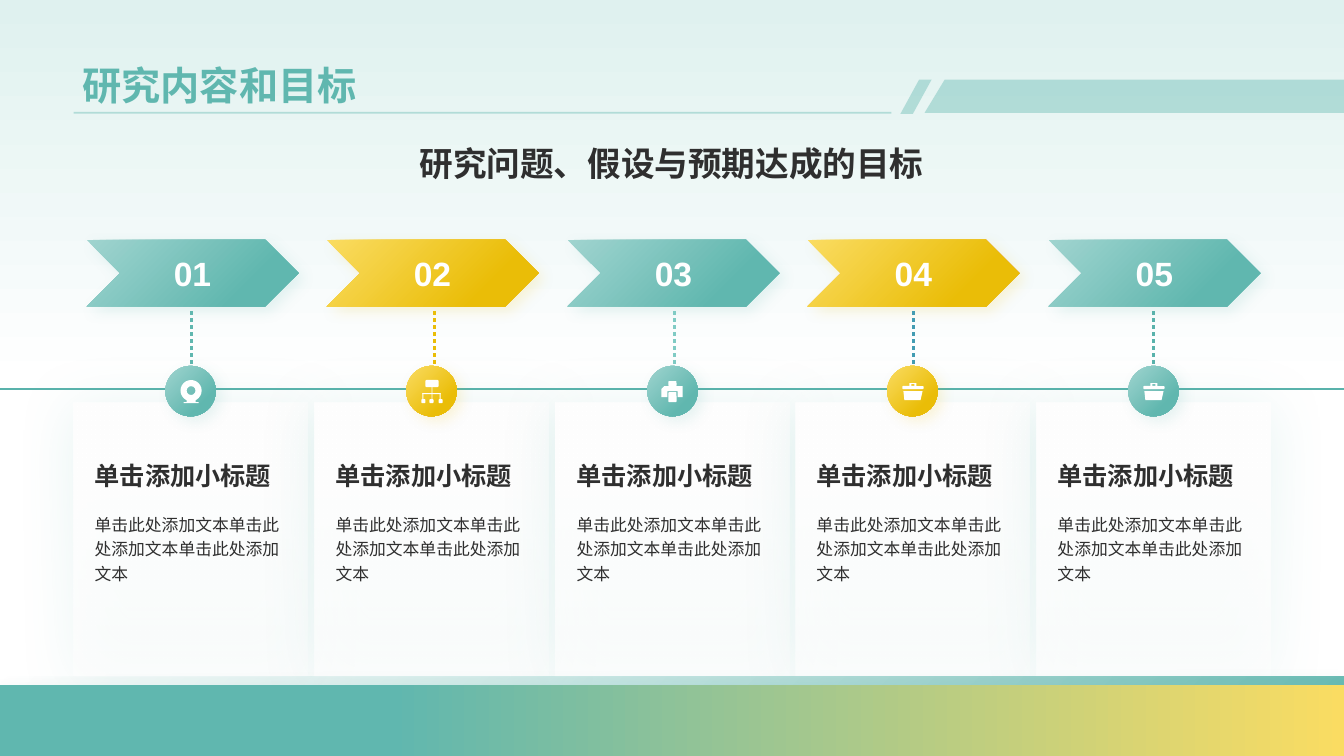
from lxml import etree
from pptx import Presentation
from pptx.dml.color import RGBColor
from pptx.enum.dml import MSO_LINE
from pptx.enum.lang import MSO_LANGUAGE_ID
from pptx.enum.shapes import MSO_CONNECTOR, MSO_SHAPE
from pptx.enum.text import MSO_ANCHOR, PP_ALIGN
from pptx.oxml.ns import qn
from pptx.util import Pt

PX = 9144
WIDE, HIGH = 1333, 750
RECT, ROUND, RING = MSO_SHAPE.RECTANGLE, MSO_SHAPE.ROUNDED_RECTANGLE, MSO_SHAPE.DONUT
ARROW, SLANT = MSO_SHAPE.CHEVRON, MSO_SHAPE.PARALLELOGRAM
STRAIGHT, DOTS = MSO_CONNECTOR.STRAIGHT, MSO_LINE.ROUND_DOT
TOP, MIDDLE, BOTTOM = MSO_ANCHOR.TOP, MSO_ANCHOR.MIDDLE, MSO_ANCHOR.BOTTOM
LEFT, CENTER = PP_ALIGN.LEFT, PP_ALIGN.CENTER
CHINESE = MSO_LANGUAGE_ID.SIMPLIFIED_CHINESE

TEAL, GOLD, WHITE, INK = "60B7AF", "EABD07", "FFFFFF", "2F2F2F"
TEALS = [(0, "A0D4CF"), (75, TEAL)]
GOLDS = [(0, "FADC62"), (75, GOLD)]

CAMERA = [(RING, (-10, -11, 21, 21), 0.29), (RECT, (-4, 9, 9, 2), None),
          (RECT, (-7, 11, 15, 1), None)]
CHART = [(ROUND, (-6, -11, 13, 7), 0.15), (RECT, (0, -4, 1, 12), None),
         (RECT, (-9, 2, 18, 1), None)]
CHART += [(RECT, (x, 2, 1, 6), None) for x in (-9, 8)]
CHART += [(ROUND, (x, 8, 4, 4), 0.25) for x in (-10, -2, 7)]
PRINTER = [(ROUND, (-4, -10, 8, 5), 0.15), (ROUND, (-4, 1, 8, 10), 0.1),
           (None, [(-11, -2), (-8, -5), (10, -5), (10, 6), (5, 6),
                   (5, 0), (-5, 0), (-5, 6), (-11, 6)], None)]
TOOLS = [(ROUND, (-10, -5, 21, 3), 0.3),
         (None, [(-9, 0), (10, 0), (8, 9), (-8, 9)], None),
         (None, [(-3, -5), (-3, -8), (4, -8), (4, -5),
                 (2, -5), (2, -7), (-1, -7), (-1, -5)], None)]

STEPS = [(TEAL, TEALS, CAMERA, 190, TEAL), (GOLD, GOLDS, CHART, 431, GOLD),
         (TEAL, TEALS, PRINTER, 669, "80CBC4"), (GOLD, GOLDS, TOOLS, 906, "439CB2"),
         (TEAL, TEALS, TOOLS, 1144, "59B2AB")]


def tint(code):
    return RGBColor.from_string(code)


class Deck:
    """Holds the type style and the slide, and draws each kind of element."""

    def __init__(self):
        self.font = "Arial"
        self.file = Presentation()
        self.file.slide_width, self.file.slide_height = WIDE * PX, HIGH * PX
        self.slide = self.file.slides.add_slide(self.file.slide_layouts[6])
        self.shapes = self.slide.shapes

    def blend(self, fill, stops, turn):
        fill.gradient()
        fill.gradient_angle = (360 - turn) % 360
        for stop, (place, code) in zip(fill.gradient_stops, stops):
            stop.position = place / 100
            stop.color.rgb = tint(code)

    def fade(self, shape, *levels):
        for node, level in zip(shape._element.xpath("./p:spPr//a:srgbClr"), levels):
            etree.SubElement(node, qn("a:alpha"), val=str(level * 1000))

    def shade(self, shape, code, blur, gap, turn):
        effect = shape._element.spPr.find(qn("a:effectLst"))
        drop = etree.SubElement(effect, qn("a:outerShdw"), blurRad=str(Pt(blur)),
                                dist=str(Pt(gap)), dir=str(turn * 60000),
                                algn="ctr", rotWithShape="0")
        node = etree.SubElement(drop, qn("a:srgbClr"), val=code)
        etree.SubElement(node, qn("a:alpha"), val="15000")

    def paint(self, shape, fill, turn, fade, shadow):
        if isinstance(fill, str):
            shape.fill.solid()
            shape.fill.fore_color.rgb = tint(fill)
        else:
            self.blend(shape.fill, fill, turn)
        shape.line.fill.background()
        shape.shadow.inherit = False
        self.fade(shape, *fade)
        if shadow:
            self.shade(shape, *shadow)
        return shape

    def block(self, kind, box, fill, turn=45, adj=None, fade=(), shadow=None):
        shape = self.shapes.add_shape(kind, *(side * PX for side in box))
        if adj is not None:
            shape.adjustments[0] = adj
        return self.paint(shape, fill, turn, fade, shadow)

    def poly(self, points, fill, fade=()):
        pen = self.shapes.build_freeform(*points[0], scale=PX)
        pen.add_line_segments(points[1:], close=True)
        return self.paint(pen.convert_to_shape(), fill, 0, fade, None)

    def rule(self, x1, y1, x2, y2, code, width, dash=None, fade=()):
        line = self.shapes.add_connector(STRAIGHT, x1 * PX, y1 * PX, x2 * PX, y2 * PX)
        line.line.color.rgb = tint(code)
        line.line.width = Pt(width)
        if dash:
            line.line.dash_style = dash
        self.fade(line, *fade)
        etree.SubElement(line._element.spPr, qn("a:effectLst"))

    def set_text(self, frame, text, size=12, color=INK, bold=False, align=LEFT,
                 anchor=TOP, wrap=True, space=1.0):
        frame.word_wrap = wrap
        frame.vertical_anchor = anchor
        para = frame.paragraphs[0]
        para.alignment = align
        para.line_spacing = space
        run = para.add_run()
        run.text = text
        font = run.font
        font.size, font.bold, font.name = Pt(size), bold, self.font
        font.color.rgb = tint(color)
        font.language_id = CHINESE
        etree.SubElement(run._r.get_or_add_rPr(), qn("a:ea"), typeface=self.font)

    def label(self, box, text, **style):
        area = self.shapes.add_textbox(*(side * PX for side in box))
        self.set_text(area.text_frame, text, **style)

    def icon(self, parts, x, y):
        for kind, spots, adj in parts:
            if kind is None:
                self.poly([(x + dx, y + dy) for dx, dy in spots], WHITE)
            else:
                dx, dy, wide, high = spots
                self.block(kind, (x + dx, y + dy, wide, high), WHITE, adj=adj)

    def step(self, index, code, stops, icon, stem, dots):
        x = 73 + round(index * 238.75)
        glow = (code, 10, 5, 45)
        self.block(RECT, (x, 399, 232, 272), [(24, WHITE), (100, WHITE)], turn=90,
                   fade=(100, 62), shadow=(TEAL, 42, 4, 90))
        self.label((x + 11, 433, 210, 59), "单击添加小标题", size=18, bold=True,
                   anchor=BOTTOM)
        self.label((x + 11, 502, 210, 138),
                   "单击此处添加文本单击此处添加文本单击此处添加文本", space=1.2)
        arrow = self.block(ARROW, (86 + round(index * 238.4), 238, 210, 66), stops,
                           shadow=glow)
        self.set_text(arrow.text_frame, f"{index + 1:02}", size=24, color=WHITE,
                      bold=True, align=CENTER, anchor=MIDDLE, wrap=False)
        self.rule(stem, 309, stem, 363, dots, 2.5, dash=DOTS)
        self.block(ROUND, (x + 91, 363, 50, 50), stops, adj=0.5, shadow=glow)
        self.icon(icon, x + 116, 388)


def main():
    deck = Deck()
    deck.blend(deck.slide.background.fill, [(0, "DFF1EF"), (51, WHITE)], 90)
    deck.poly([(937, 79), (WIDE, 79), (WIDE, 112), (917, 112)], TEAL, fade=(40,))
    deck.block(SLANT, (893, 79, 31, 34), TEAL, adj=0.6, fade=(40,))
    deck.rule(73, 112, 884, 112, TEAL, 1.25, fade=(40,))
    deck.label((72, 14, 1188, 98), "研究内容和目标", size=28, color=TEAL, bold=True,
               anchor=BOTTOM)
    deck.label((72, 124, 1188, 76), "研究问题、假设与预期达成的目标", size=24, bold=True,
               align=CENTER, anchor=MIDDLE)
    deck.rule(0, 386, WIDE, 386, "59B2AB", 2)
    for index, step in enumerate(STEPS):
        deck.step(index, *step)
    base = (TEAL, 10, 4, 90)
    deck.block(RECT, (0, 671, WIDE, 79), [(0, "A0D4CF"), (100, TEAL)], fade=(0, 100),
               shadow=base)
    deck.block(RECT, (0, 680, WIDE, 70), [(0, "FADC62"), (71, TEAL)], turn=180,
               shadow=base)
    deck.file.save("out.pptx")


if __name__ == "__main__":
    main()
